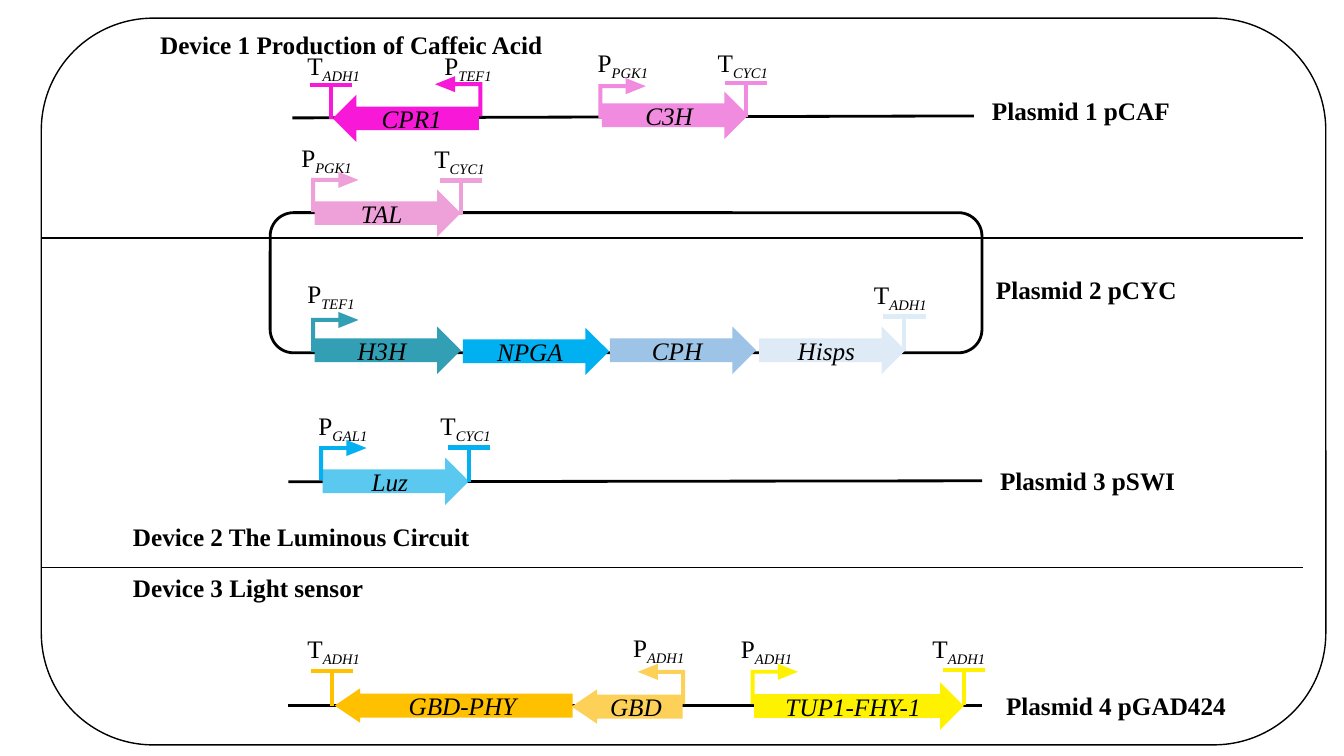
from lxml import etree
from pptx import Presentation
from pptx.dml.color import RGBColor
from pptx.enum import shapes, text
from pptx.oxml.ns import qn
from pptx.util import Inches, Pt

BLACK = RGBColor(0x00, 0x00, 0x00)
MAGENTA = RGBColor(0xF7, 0x19, 0xD7)
PINK = RGBColor(0xF1, 0x8B, 0xE0)
ROSE = RGBColor(0xEE, 0xA1, 0xD8)
TEAL = RGBColor(0x33, 0x9F, 0xB4)
TEAL_PROMOTER = RGBColor(0x32, 0x9F, 0xB4)
BLUE = RGBColor(0x00, 0xB0, 0xF0)
BLUE_PROMOTER = RGBColor(0x05, 0xB0, 0xF0)
STEEL = RGBColor(0x9D, 0xC3, 0xE6)
ICE = RGBColor(0xDE, 0xEB, 0xF7)
ICE_TERMINATOR = RGBColor(0xDE, 0xEC, 0xF8)
SKY = RGBColor(0x5B, 0xC8, 0xEF)
ORANGE = RGBColor(0xFF, 0xC0, 0x00)
ORANGE_TERMINATOR = RGBColor(0xFF, 0xC1, 0x00)
SAND = RGBColor(0xFD, 0xD0, 0x57)
YELLOW = RGBColor(0xFF, 0xF2, 0x00)

FONT = "Times New Roman"
TEXT_HEIGHT = 0.4
GENE_WIDTH, GENE_HEIGHT = 1.45, 0.47
SLIM_HEIGHT, SLIM_HEAD = 0.34, (0.7, 0.74)
PROMOTER_SIZE = 0.4, 0.47
BAR_WIDTH, STEM_HEIGHT = 0.42, 0.34

# left, top, width, height, corner, line width
OUTLINES = [
    (2.68, 2.11, 7.06, 1.39, 0.167, 2),
    (0.41, 0.18, 12.74, 7.21, 0.154, 1),
]
# start x, start y, end x, end y, line width
LINES = [
    (2.9, 1.17, 9.66, 1.15, 2),
    (2.86, 4.78, 9.74, 4.77, 2),
    (2.86, 7, 9.74, 7, 2),
    (0.41, 2.36, 12.92, 2.36, 1),
    (0.41, 5.63, 12.92, 5.63, 1),
]
# heading, left, top, width
HEADINGS = [
    ("Device 1 Production of Caffeic Acid", 1.49, 0.24, 4.37),
    ("Device 2 The Luminous Circuit", 1.22, 5.12, 4.28),
    ("Device 3 Light sensor", 1.22, 5.63, 4.28),
    ("Plasmid 1 pCAF", 9.74, 0.9, 2.55),
    ("Plasmid 2 pCYC", 9.78, 2.67, 2.55),
    ("Plasmid 3 pSWI", 9.82, 4.57, 2.55),
    ("Plasmid 4 pGAD424", 9.88, 6.8, 3.07),
]
# name, left, top, width, points left, slim, colour
GENES = [
    ("CPR1", 3.3, 0.94, GENE_WIDTH, True, False, MAGENTA),
    ("C3H", 5.97, 0.91, GENE_WIDTH, False, False, PINK),
    ("TAL", 3.12, 1.88, GENE_WIDTH, False, False, ROSE),
    ("H3H", 3.12, 3.24, GENE_WIDTH, False, False, TEAL),
    ("NPGA", 4.59, 3.25, GENE_WIDTH, False, False, BLUE),
    ("CPH", 6.05, 3.24, GENE_WIDTH, False, False, STEEL),
    ("Hisps", 7.53, 3.24, GENE_WIDTH, False, False, ICE),
    ("Luz", 3.2, 4.54, GENE_WIDTH, False, False, SKY),
    ("GBD-PHY", 3.32, 6.83, 2.36, True, True, ORANGE),
    ("GBD", 5.67, 6.84, 1.1, True, True, SAND),
    ("TUP1-FHY-1", 7.48, 6.77, 2.08, False, False, YELLOW),
]
# left, top, points left, colour
PROMOTERS = [
    (4.35, 0.72, True, MAGENTA),
    (5.97, 0.74, False, PINK),
    (3.12, 1.67, False, ROSE),
    (3.12, 3.06, False, TEAL_PROMOTER),
    (3.2, 4.33, False, BLUE_PROMOTER),
    (6.36, 6.55, True, SAND),
    (7.48, 6.55, False, YELLOW),
]
# stem x, bar y, colour
TERMINATORS = [
    (3.28, 0.84, MAGENTA),
    (7.4, 0.82, PINK),
    (4.57, 1.79, ROSE),
    (8.97, 3.14, ICE_TERMINATOR),
    (4.65, 4.44, BLUE_PROMOTER),
    (3.29, 6.66, ORANGE_TERMINATOR),
    (9.56, 6.65, YELLOW),
]
# letter, subscript, left, top, width
SITE_LABELS = [
    ("T", "ADH1", 2.95, 0.45, 0.8),
    ("P", "TEF1", 4.31, 0.45, 2.03),
    ("P", "PGK1", 5.83, 0.42, 2.03),
    ("T", "CYC1", 7.02, 0.42, 0.8),
    ("P", "PGK1", 2.89, 1.36, 2.03),
    ("T", "CYC1", 4.21, 1.37, 0.8),
    ("P", "TEF1", 2.95, 2.71, 0.91),
    ("T", "ADH1", 8.57, 2.72, 0.8),
    ("P", "GAL1", 3.06, 4.02, 0.89),
    ("T", "CYC1", 4.27, 4.02, 1.17),
    ("T", "ADH1", 2.95, 6.23, 0.91),
    ("P", "ADH1", 6.18, 6.22, 0.91),
    ("P", "ADH1", 7.25, 6.23, 0.91),
    ("T", "ADH1", 9.15, 6.23, 0.91),
]

presentation = Presentation()
presentation.slide_width, presentation.slide_height = Inches(13.33), Inches(7.5)
slide = presentation.slides.add_slide(presentation.slide_layouts[6])


def add_run(paragraph, wording, bold=False, italic=False, subscript=False):
    run = paragraph.add_run()
    run.text = wording
    run.font.name, run.font.size = FONT, Pt(18)
    run.font.color.rgb = BLACK
    run.font.bold, run.font.italic = bold, italic
    if subscript:
        run.font._element.set("baseline", "-25000")


def add_label(left, top, width):
    """Add an empty text box and return its paragraph."""
    box = slide.shapes.add_textbox(*map(Inches, (left, top, width, TEXT_HEIGHT)))
    box.text_frame.word_wrap = True
    box.text_frame.auto_size = text.MSO_AUTO_SIZE.SHAPE_TO_FIT_TEXT
    return box.text_frame.paragraphs[0]


def add_line(start_x, start_y, end_x, end_y, width, colour=BLACK):
    line = slide.shapes.add_connector(
        shapes.MSO_CONNECTOR.STRAIGHT, *map(Inches, (start_x, start_y, end_x, end_y)))
    line.line.color.rgb, line.line.width = colour, Pt(width)
    etree.SubElement(line._element.spPr, qn("a:effectLst"))


def add_shape(kind, left, top, width, height, colour=None, adjustments=(), flip=None):
    """Add a preset shape, filled without outline or, lacking a colour, hollow."""
    shape = slide.shapes.add_shape(kind, *map(Inches, (left, top, width, height)))
    shape.shadow.inherit = False
    for index, value in enumerate(adjustments):
        shape.adjustments[index] = value
    if colour is None:
        shape.fill.background()
    else:
        shape.fill.solid()
        shape.fill.fore_color.rgb = colour
        shape.line.fill.background()
    if flip:
        shape._element.spPr.find(qn("a:xfrm")).set(flip, "1")
    return shape


for left, top, width, height, corner, line_width in OUTLINES:
    outline = add_shape(shapes.MSO_SHAPE.ROUNDED_RECTANGLE, left, top, width, height,
                        adjustments=[corner])
    outline.line.color.rgb, outline.line.width = BLACK, Pt(line_width)

for line in LINES:
    add_line(*line)

for heading, left, top, width in HEADINGS:
    add_run(add_label(left, top, width), heading, bold=True)

for name, left, top, width, points_left, slim, colour in GENES:
    gene = add_shape(shapes.MSO_SHAPE.RIGHT_ARROW, left, top, width,
                     SLIM_HEIGHT if slim else GENE_HEIGHT, colour,
                     SLIM_HEAD if slim else (), "flipH" if points_left else None)
    gene.text_frame.vertical_anchor = text.MSO_ANCHOR.MIDDLE
    paragraph = gene.text_frame.paragraphs[0]
    paragraph.alignment = text.PP_ALIGN.CENTER
    add_run(paragraph, name, italic=True)

for left, top, points_left, colour in PROMOTERS:
    promoter = add_shape(shapes.MSO_SHAPE.BENT_UP_ARROW, left, top, *PROMOTER_SIZE, colour,
                         (0.098, 0.2, 0.5), None if points_left else "flipV")
    promoter.rotation = 270

for stem_x, bar_y, colour in TERMINATORS:
    add_line(stem_x - BAR_WIDTH / 2, bar_y, stem_x + BAR_WIDTH / 2, bar_y, 3, colour)
    add_line(stem_x, bar_y, stem_x, bar_y + STEM_HEIGHT, 3, colour)

for letter, subscript, left, top, width in SITE_LABELS:
    paragraph = add_label(left, top, width)
    add_run(paragraph, letter)
    add_run(paragraph, subscript, italic=True, subscript=True)

presentation.save("out.pptx")
